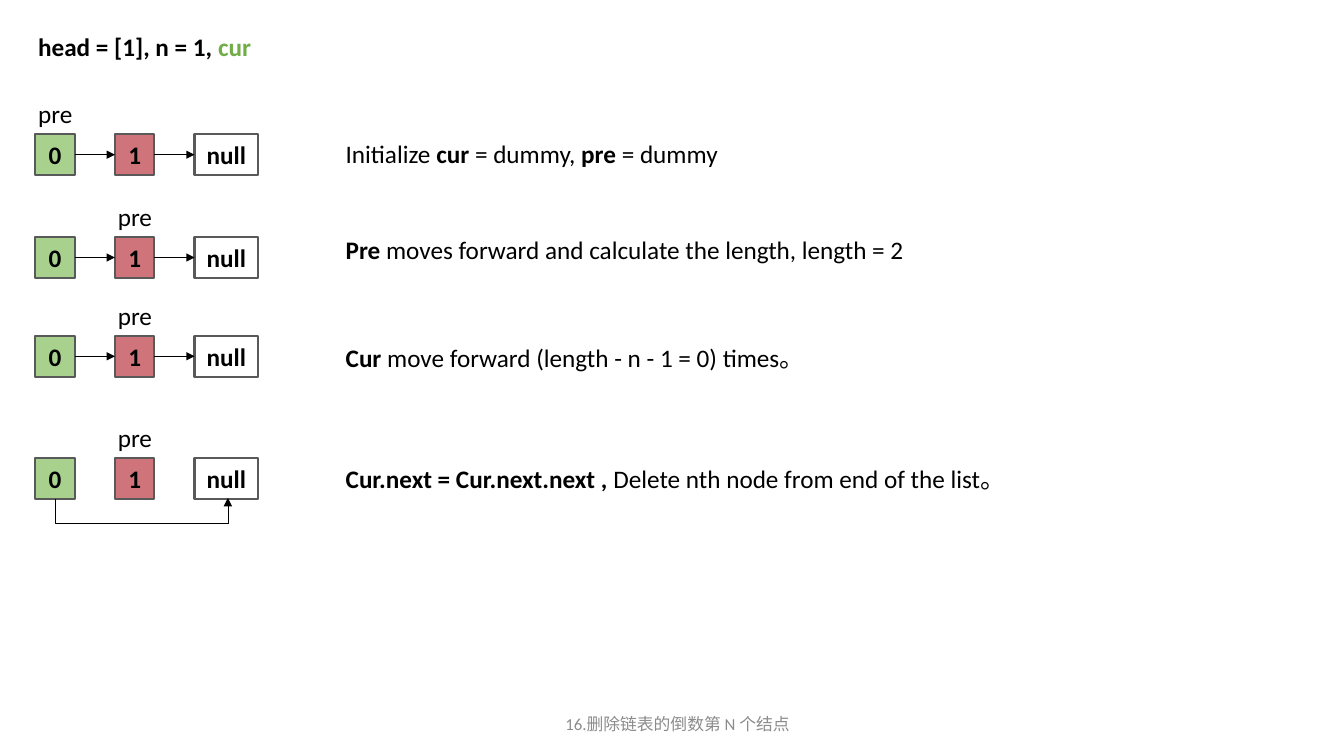
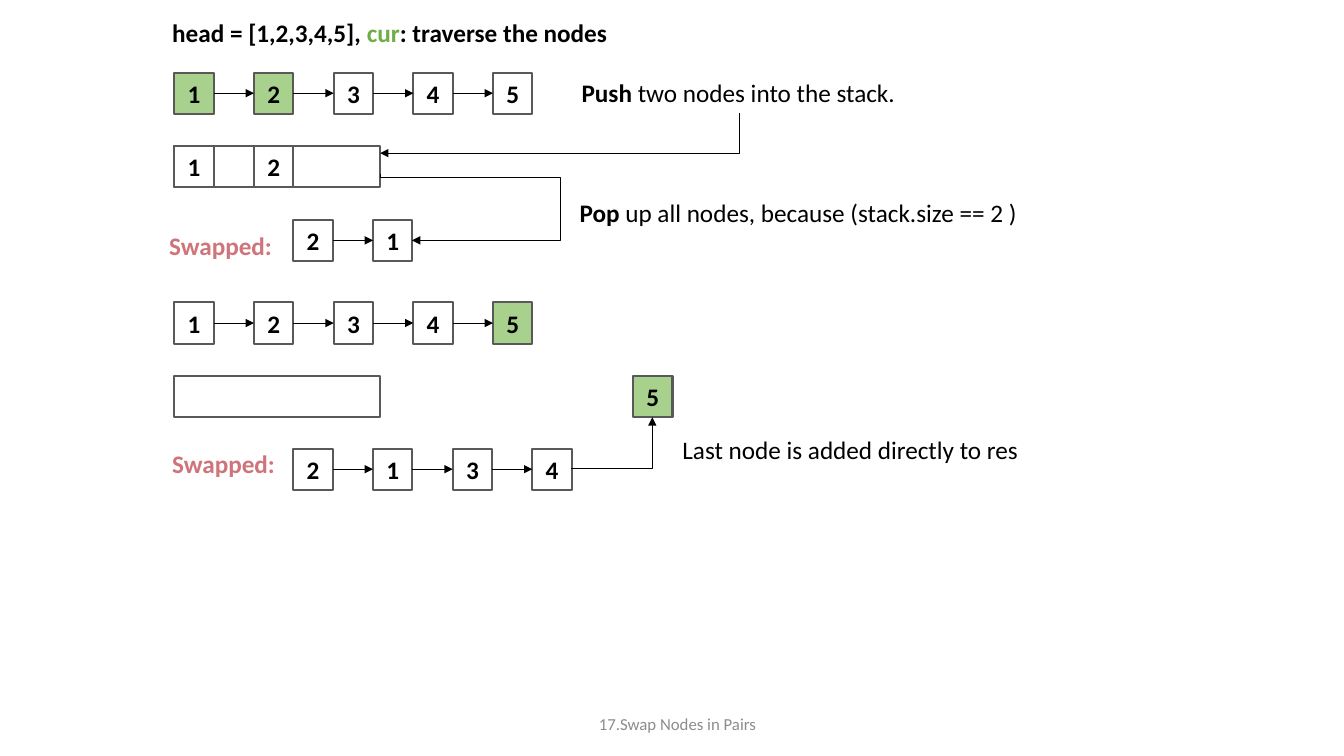
from lxml import etree
from pptx import Presentation
from pptx.dml.color import RGBColor
from pptx.enum.shapes import MSO_CONNECTOR as Connector, MSO_SHAPE as Preset
from pptx.enum.text import MSO_ANCHOR as Anchor, MSO_AUTO_SIZE as AutoSize, PP_ALIGN as Align
from pptx.oxml.ns import qn
from pptx.util import Inches, Pt

BLACK = RGBColor(0x00, 0x00, 0x00)
WHITE = RGBColor(0xFF, 0xFF, 0xFF)
GREEN = RGBColor(0xA9, 0xD1, 0x8E)
CUR_GREEN = RGBColor(0x70, 0xAD, 0x47)
RED = RGBColor(0xCF, 0x74, 0x7A)
BORDER = RGBColor(0x59, 0x59, 0x59)
FOOTER_GRAY = RGBColor(0x8C, 0x8C, 0x8C)

FONT = "Calibri"
NODE_WIDTH, NULL_WIDTH, STACK_WIDTH, NODE_HEIGHT = 0.39, 0.63, 2.04, 0.41
NODE_STEP = 0.79
TEXT_HEIGHT = 0.4
RIGHT_SITE, LEFT_SITE = 3, 1

REMOVE_FOOTER = "16.删除链表的倒数第 N 个结点"
REMOVE_TITLE = [("head = [1], n = 1, ", True, BLACK), ("cur", True, CUR_GREEN)]
REMOVE_LEFT = 0.35
REMOVE_NODES = [("0", GREEN), ("1", RED), ("null", WHITE)]
REMOVE_STEPS = [
    {"top": 1.33, "pre": 0, "linked": True, "note": (1.32, 3.93), "runs": [
        ("Initialize ", False, BLACK), ("cur", True, BLACK), (" = dummy, ", False, BLACK),
        ("pre", True, BLACK), (" = dummy", False, BLACK)]},
    {"top": 2.35, "pre": 1, "linked": True, "note": (2.28, 5.8), "runs": [
        ("Pre", True, BLACK),
        (" moves forward and calculate the length, length = 2", False, BLACK)]},
    {"top": 3.33, "pre": 1, "linked": True, "note": (3.35, 4.81), "runs": [
        ("Cur", True, BLACK), (" move forward (length - n - 1 = 0) times。", False, BLACK)]},
    {"top": 4.54, "pre": 1, "linked": False, "note": (4.55, 6.82), "runs": [
        ("Cur.next = Cur.next.next , ", True, BLACK),
        ("Delete nth node from end of the list。", False, BLACK)]},
]
REMOVE_ELBOWS = [("bentConnector3", (1.4, 4.09, 0.01, 1.71), 90, "HV", [-25])]

SWAP_FOOTER = "17.Swap Nodes in Pairs"
SWAP_TITLE = [("head = [1,2,3,4,5], ", True, BLACK), ("cur", True, CUR_GREEN),
              (": traverse the nodes", True, BLACK)]
SWAP_LEFT, SWAPPED_LEFT = 1.73, 2.91
STACK_TOPS = [1.45, 3.73]
SWAP_CHAINS = [
    (SWAP_LEFT, 0.72, "12345", "12", True),
    (SWAP_LEFT, 1.45, "12", "", False),
    (SWAPPED_LEFT, 2.18, "21", "", True),
    (SWAP_LEFT, 3.0, "12345", "5", True),
    (SWAPPED_LEFT, 4.45, "2134", "", True),
    (6.28, 3.73, "5", "5", False),
]
SWAP_NOTES = [
    (5.67, 0.72, 3.33, [("Push", True, BLACK), (" two nodes into the stack.", False, BLACK)]),
    (5.65, 1.91, 4.71, [("Pop ", True, BLACK),
                        ("up all nodes, because (stack.size == 2 )", False, BLACK)]),
    (6.67, 4.26, 3.57, [("Last node is added directly to res", False, BLACK)]),
    (1.58, 2.24, 1.23, [("Swapped:", True, RED)]),
    (1.61, 4.4, 1.23, [("Swapped:", True, RED)]),
]
SWAP_ELBOWS = [
    ("bentConnector2", (5.35, -0.46, 0.4, 3.56), 90, "", []),
    ("bentConnector4", (3.6, 1.9, 0.66, 0.31), 270, "H", [0.06, 5.74]),
    ("bentConnector2", (5.66, 4.14, 0.81, 0.51), 0, "V", []),
]


def add_runs(paragraph, runs, size=18):
    for text, bold, color in runs:
        run = paragraph.add_run()
        run.text = text
        run.font.name = FONT
        run.font.size = Pt(size)
        run.font.bold = bold
        run.font.color.rgb = color


def add_text(slide, left, top, width, runs, wrap=False):
    box = slide.shapes.add_textbox(Inches(left), Inches(top), Inches(width), Inches(TEXT_HEIGHT))
    box.text_frame.word_wrap = wrap
    box.text_frame.auto_size = AutoSize.SHAPE_TO_FIT_TEXT
    add_runs(box.text_frame.paragraphs[0], runs)
    return box


def add_footer(slide, text):
    box = add_text(slide, 4.47, 6.98, 4.5, [], wrap=True)
    box.text_frame.auto_size = AutoSize.NONE
    box.text_frame.vertical_anchor = Anchor.MIDDLE
    paragraph = box.text_frame.paragraphs[0]
    paragraph.alignment = Align.CENTER
    add_runs(paragraph, [(text, False, FOOTER_GRAY)], size=12)


def add_box(slide, left, top, width, fill, label=""):
    shape = slide.shapes.add_shape(
        Preset.RECTANGLE, Inches(left), Inches(top), Inches(width), Inches(NODE_HEIGHT))
    shape.shadow.inherit = False
    shape.fill.solid()
    shape.fill.fore_color.rgb = fill
    shape.line.color.rgb = BORDER
    shape.line.width = Pt(1.5)
    if label:
        shape.text_frame.vertical_anchor = Anchor.MIDDLE
        paragraph = shape.text_frame.paragraphs[0]
        paragraph.alignment = Align.CENTER
        add_runs(paragraph, [(label, True, BLACK)])
    return shape


def add_arrow(slide, kind):
    arrow = slide.shapes.add_connector(kind, 0, 0, 0, 0)
    arrow.line.color.rgb = BLACK
    arrow.line.width = Pt(0.5)
    properties = arrow._element.spPr
    etree.SubElement(properties.find(qn("a:ln")), qn("a:tailEnd"), type="triangle")
    etree.SubElement(properties, qn("a:effectLst"))
    return arrow


def add_elbow(slide, preset, bounds, rotation, flips, adjustments):
    arrow = add_arrow(slide, Connector.ELBOW)
    arrow.left, arrow.top, arrow.width, arrow.height = [Inches(value) for value in bounds]
    properties = arrow._element.spPr
    transform = properties.find(qn("a:xfrm"))
    transform.set("rot", str(rotation * 60000))
    for axis in flips:
        transform.set("flip" + axis, "1")
    geometry = properties.find(qn("a:prstGeom"))
    geometry.set("prst", preset)
    guides = geometry.find(qn("a:avLst"))
    for number, value in enumerate(adjustments, 1):
        etree.SubElement(guides, qn("a:gd"), name=f"adj{number}",
                         fmla=f"val {round(value * 100000)}")


def add_chain(slide, left, top, nodes, linked):
    boxes = []
    for index, (label, fill) in enumerate(nodes):
        width = NULL_WIDTH if label == "null" else NODE_WIDTH
        boxes.append(add_box(slide, left + index * NODE_STEP, top, width, fill, label))
    if linked:
        for source, target in zip(boxes, boxes[1:]):
            arrow = add_arrow(slide, Connector.STRAIGHT)
            arrow.begin_connect(source, RIGHT_SITE)
            arrow.end_connect(target, LEFT_SITE)


def build_remove_slide(slide):
    add_footer(slide, REMOVE_FOOTER)
    add_text(slide, 0.28, 0.26, 4.52, REMOVE_TITLE, wrap=True)
    for step in REMOVE_STEPS:
        add_chain(slide, REMOVE_LEFT, step["top"], REMOVE_NODES, step["linked"])
        pre_left = REMOVE_LEFT - 0.07 + step["pre"] * NODE_STEP
        add_text(slide, pre_left, step["top"] - TEXT_HEIGHT, 0.55, [("pre", False, BLACK)])
        note_top, note_width = step["note"]
        add_text(slide, 3.33, note_top, note_width, step["runs"])
    for elbow in REMOVE_ELBOWS:
        add_elbow(slide, *elbow)


def build_swap_slide(slide):
    add_footer(slide, SWAP_FOOTER)
    add_text(slide, 1.61, 0.12, 5.11, SWAP_TITLE, wrap=True)
    for top in STACK_TOPS:
        add_box(slide, SWAP_LEFT, top, STACK_WIDTH, WHITE)
    for left, top, labels, current, linked in SWAP_CHAINS:
        nodes = [(label, GREEN if label in current else WHITE) for label in labels]
        add_chain(slide, left, top, nodes, linked)
    for note in SWAP_NOTES:
        add_text(slide, *note)
    for elbow in SWAP_ELBOWS:
        add_elbow(slide, *elbow)


def main():
    presentation = Presentation()
    presentation.slide_width = Inches(13.33)
    presentation.slide_height = Inches(7.5)
    for build in (build_remove_slide, build_swap_slide):
        build(presentation.slides.add_slide(presentation.slide_layouts[6]))
    presentation.save("out.pptx")


if __name__ == "__main__":
    main()
